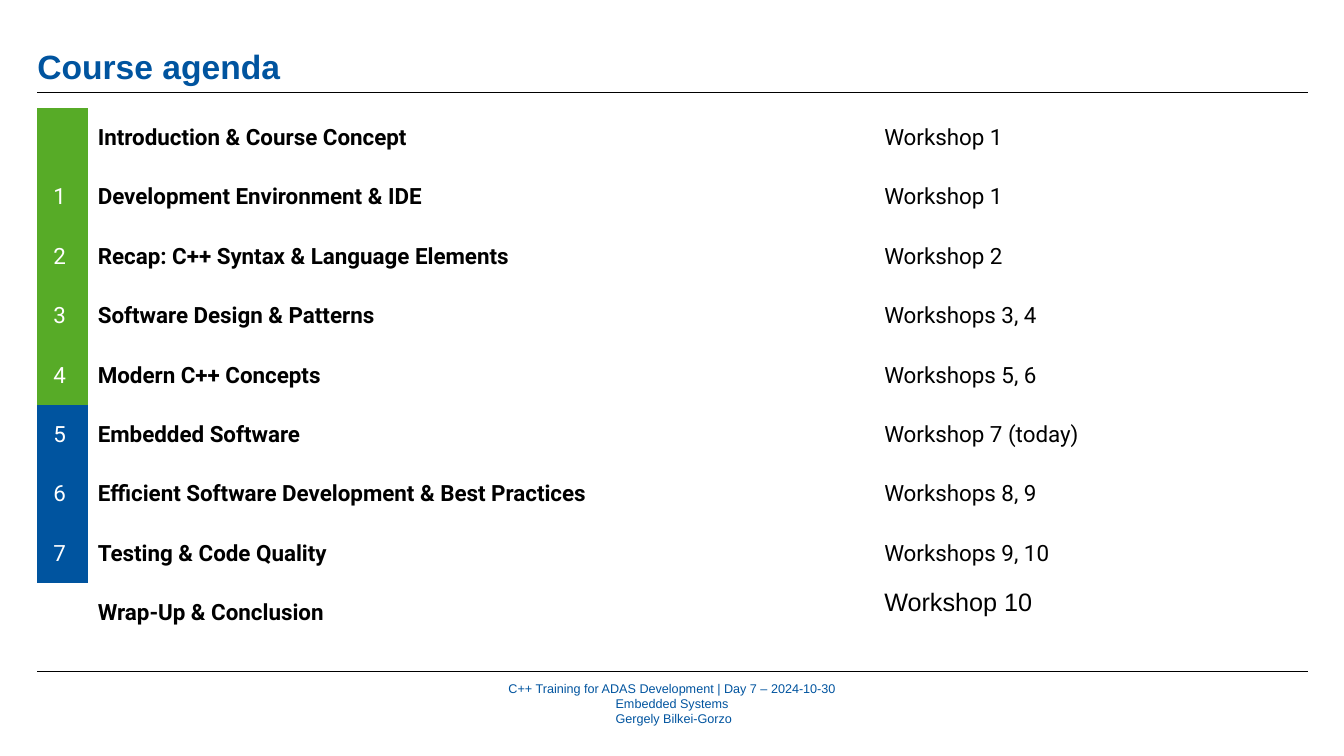
from pptx import Presentation
from pptx.dml.color import RGBColor
from pptx.enum.text import MSO_ANCHOR as Anchor, PP_ALIGN as Align
from pptx.oxml.ns import qn
from pptx.util import Inches, Pt
from lxml.etree import SubElement

BLUE, GREEN, BLACK, WHITE = "00549F", "57AB27", "000000", "FFFFFF"
NO_GRID = "{2D5ABB26-0587-4C30-8999-92F81FD0307C}"
COLS = 126

AGENDA = [
    ("", "Introduction & Course Concept", "Workshop 1", GREEN),
    ("1 ", "Development Environment & IDE", "Workshop 1", GREEN),
    ("2 ", "Recap: C++ Syntax & Language Elements", "Workshop 2", GREEN),
    ("3 ", "Software Design & Patterns", "Workshops 3, 4", GREEN),
    ("4 ", "Modern C++ Concepts", "Workshops 5, 6", GREEN),
    ("5 ", "Embedded Software", "Workshop 7 (today)", BLUE),
    ("6 ", "Efficient Software Development & Best Practices", "Workshops 8, 9", BLUE),
    ("7 ", "Testing & Code Quality", "Workshops 9, 10", BLUE),
    ("", "Wrap-Up & Conclusion", "Workshop 10", None),
]
FOOTER = [
    "C++ Training for ADAS Development | Day 7 – 2024-10-30",
    "Embedded Systems",
    " Gergely Bilkei-Gorzo",
]


def rgb(value):
    return RGBColor.from_string(value)


class Deck:
    """Draws on one slide, on a grid of 0.1 inch cells that starts at the left margin."""

    def __init__(self):
        self.prs = Presentation()
        self.prs.slide_width, self.prs.slide_height = Inches(13.33), Inches(7.5)
        self.s = self.prs.slides.add_slide(self.prs.slide_layouts[5])

    def x(self, col):
        return Inches(0.37 + col / 10)

    def size(self, n):
        return Inches(n / 10)

    def box(self, col, row, cols, rows):
        return self.x(col), self.size(row), self.size(cols), self.size(rows)

    def style(self, p, font, size, color, bold=False, align=Align.LEFT):
        p.alignment = align
        p.font.name, p.font.size, p.font.bold = font, Pt(size), bold
        p.font.color.rgb = rgb(color)

    def frame(self, sp, anchor):
        tf = sp.text_frame
        tf.word_wrap, tf.vertical_anchor = True, anchor
        tf.margin_left = tf.margin_right = tf.margin_top = tf.margin_bottom = 0
        return tf

    def title(self, text, *cells):
        sp = self.s.shapes.title
        sp.left, sp.top, sp.width, sp.height = self.box(*cells)
        tf = self.frame(sp, Anchor.BOTTOM)
        tf.text = text
        self.style(tf.paragraphs[0], "Arial", 24, BLUE, True)

    def rule(self, row):
        y = self.size(row)
        line = self.s.shapes.add_connector(1, self.x(0), y, self.x(COLS), y)
        line.line.color.rgb, line.line.width = rgb(BLACK), Pt(0.5)
        SubElement(line._element.spPr, qn("a:effectLst"))

    def text(self, lines, *cells):
        tf = self.frame(self.s.shapes.add_textbox(*self.box(*cells)), Anchor.MIDDLE)
        tf.text = "\n".join(lines)
        for p in tf.paragraphs:
            self.style(p, "Arial", 9, BLUE, align=Align.CENTER)

    def cell(self, cell, text, color=BLACK, bold=False, fill=None, align=Align.LEFT, gap=6):
        cell.vertical_anchor = Anchor.MIDDLE
        if fill:
            cell.fill.solid()
            cell.fill.fore_color.rgb = rgb(fill)
        else:
            cell.fill.background()
        cell.text = text
        p = cell.text_frame.paragraphs[0]
        self.style(p, "Roboto", 16, color, bold, align)
        p.space_before = p.space_after = Pt(gap)

    def agenda(self, rows, widths, col, row, height):
        place = self.box(col, row, sum(widths), height * len(rows))
        frame = self.s.shapes.add_table(len(rows), len(widths), *place)
        table = frame.table
        table.first_row = table.horz_banding = False
        for style_id in frame._element.iter(qn("a:tableStyleId")):
            style_id.text = NO_GRID
        for column, width in zip(table.columns, widths):
            column.width = self.size(width)
        for line, (number, topic, workshop, fill) in zip(table.rows, rows):
            line.height = self.size(height)
            self.cell(line.cells[0], number, WHITE, fill=fill, align=Align.CENTER, gap=0)
            self.cell(line.cells[1], topic, bold=True)
            self.cell(line.cells[2], workshop)
        last = table.cell(len(rows) - 1, 2)
        last.vertical_anchor = Anchor.TOP
        self.style(last.text_frame.paragraphs[0], "Arial", 18, BLACK)


def main():
    deck = Deck()
    deck.text(FOOTER, 30.6, 67.5, 64.7, 4.6)
    for row in (9.2, 66.6):
        deck.rule(row)
    deck.title("Course agenda", 0, 0.5, COLS, 8.1)
    deck.agenda(AGENDA, (5, 78, 43), 0, 10.7, 5.9)
    deck.prs.save("out.pptx")


if __name__ == "__main__":
    main()
